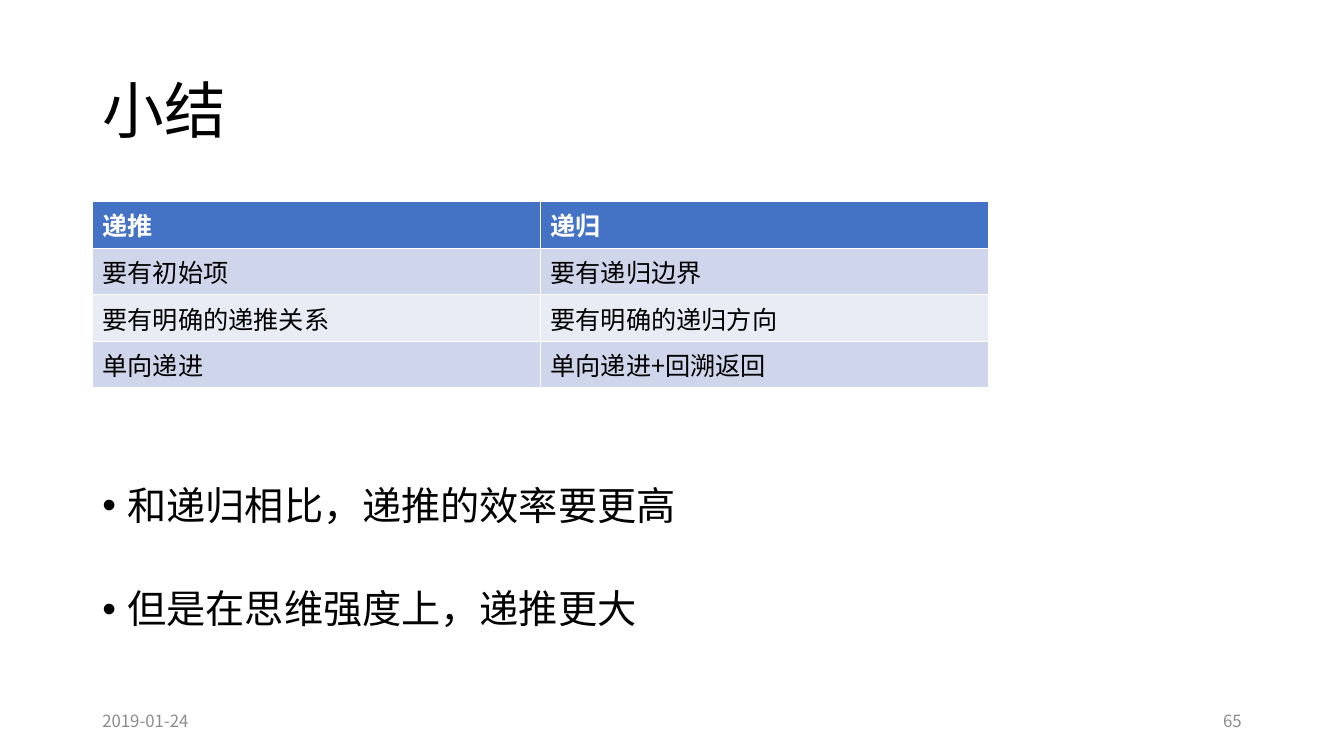
from lxml.etree import SubElement
from pptx import Presentation
from pptx.dml.color import RGBColor
from pptx.enum.text import MSO_ANCHOR, PP_ALIGN
from pptx.oxml.ns import qn
from pptx.util import Pt

TITLE = "小结"
COMPARISON = [
    ("递推", "递归"),
    ("要有初始项", "要有递归边界"),
    ("要有明确的递推关系", "要有明确的递归方向"),
    ("单向递进", "单向递进+回溯返回"),
]
CONCLUSIONS = ["和递归相比，递推的效率要更高", "但是在思维强度上，递推更大"]
FOOTERS = [("2019-01-24", 66, PP_ALIGN.LEFT), ("65", 678, PP_ALIGN.RIGHT)]

FONT = "Noto Sans CJK SC"
COLORS = {
    "text": "000000",
    "header text": "FFFFFF",
    "header": "4472C4",
    "odd row": "CFD5EA",
    "even row": "E9EBF5",
    "footer": "8C8C8C",
}
LEFT, WIDTH = 66, 828
COLUMN_WIDTH, ROW_HEIGHT = 320, 29.2
INDENT = 18


def write(paragraph, text, size, color, bold=False, **layout):
    run = paragraph.add_run()
    run.text = text
    formats = {"name": FONT, "size": Pt(size), "bold": bold}
    for attribute, value in formats.items():
        setattr(run.font, attribute, value)
    run.font.color.rgb = RGBColor.from_string(COLORS[color])
    SubElement(run.font._element, qn("a:ea")).set("typeface", FONT)
    for attribute, value in layout.items():
        setattr(paragraph, attribute, value)


def add_frame(slide, left, top, width, height, anchor):
    frame = slide.shapes.add_textbox(Pt(left), Pt(top), Pt(width), Pt(height)).text_frame
    frame.word_wrap = True
    frame.vertical_anchor = anchor
    return frame


def add_bullet(paragraph):
    properties = paragraph._p.get_or_add_pPr()
    properties.set("marL", str(Pt(INDENT)))
    properties.set("indent", str(-Pt(INDENT)))
    SubElement(properties, qn("a:buFont")).set("typeface", "Arial")
    SubElement(properties, qn("a:buChar")).set("char", "•")


def add_title(slide):
    title = slide.shapes.title
    place = {"left": LEFT, "top": 28.75, "width": WIDTH, "height": 104.4}
    for attribute, value in place.items():
        setattr(title, attribute, Pt(value))
    title.text_frame.vertical_anchor = MSO_ANCHOR.MIDDLE
    write(title.text_frame.paragraphs[0], TITLE, 44, "text",
          alignment=PP_ALIGN.LEFT, line_spacing=0.9)


def add_comparison(slide):
    rows, columns = len(COMPARISON), len(COMPARISON[0])
    comparison = slide.shapes.add_table(
        rows, columns, Pt(LEFT), Pt(144),
        Pt(columns * COLUMN_WIDTH), Pt(rows * ROW_HEIGHT)).table
    for r, texts in enumerate(COMPARISON):
        header = r == 0
        fill = "header" if header else "odd row" if r % 2 else "even row"
        for c, text in enumerate(texts):
            cell = comparison.cell(r, c)
            cell.fill.solid()
            cell.fill.fore_color.rgb = RGBColor.from_string(COLORS[fill])
            write(cell.text_frame.paragraphs[0], text, 18,
                  "header text" if header else "text", bold=header)


def add_conclusions(slide):
    frame = add_frame(slide, LEFT, 344, WIDTH, 143, MSO_ANCHOR.TOP)
    for i, text in enumerate(CONCLUSIONS):
        paragraph = frame.add_paragraph() if i else frame.paragraphs[0]
        write(paragraph, text, 28, "text", line_spacing=0.9,
              space_before=Pt(43.5 if i else 0))
        add_bullet(paragraph)


def add_footers(slide):
    for text, left, alignment in FOOTERS:
        frame = add_frame(slide, left, 500.5, 216, 28.75, MSO_ANCHOR.MIDDLE)
        write(frame.paragraphs[0], text, 12, "footer", alignment=alignment)


def main():
    presentation = Presentation()
    presentation.slide_width = Pt(960)
    presentation.slide_height = Pt(540)
    slide = presentation.slides.add_slide(presentation.slide_layouts[5])
    add_title(slide)
    add_comparison(slide)
    add_conclusions(slide)
    add_footers(slide)
    presentation.save("out.pptx")


if __name__ == "__main__":
    main()
